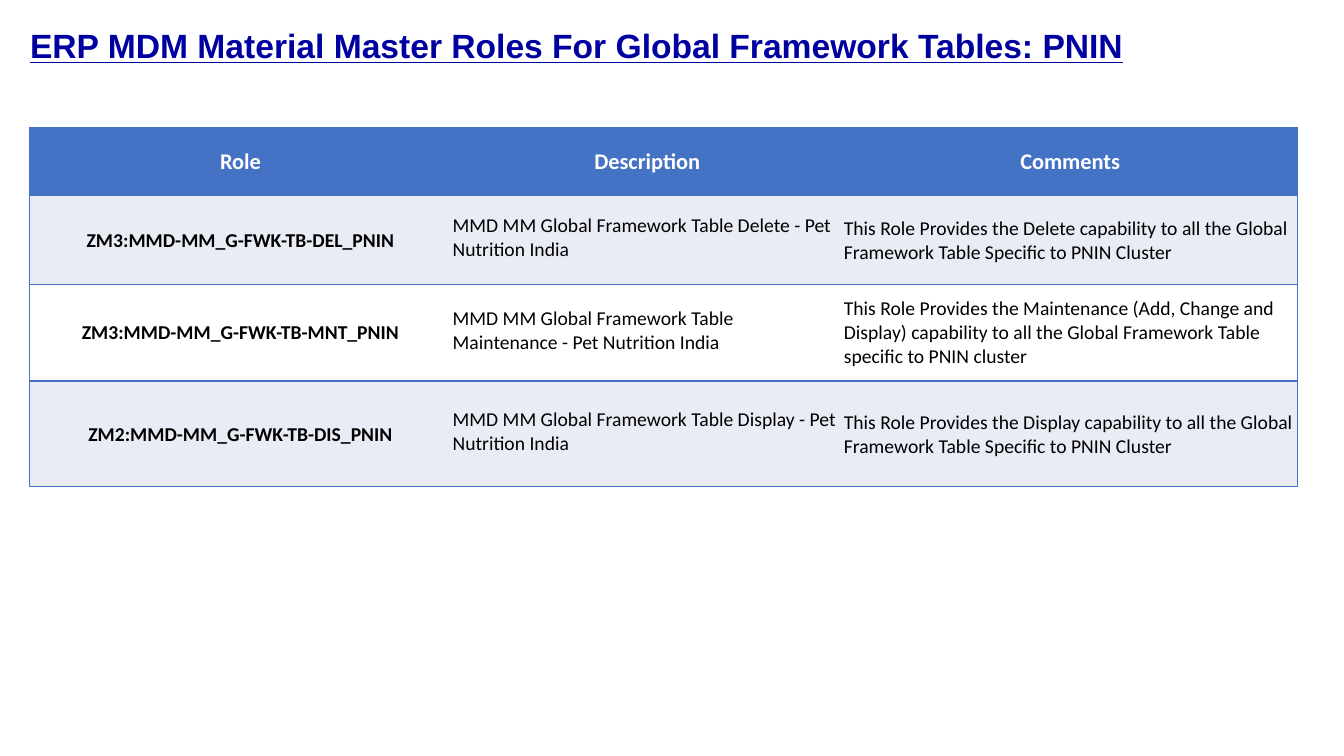
from dataclasses import dataclass

from lxml.etree import Element, SubElement
from pptx import Presentation
from pptx.dml.color import RGBColor
from pptx.enum.text import MSO_ANCHOR, PP_ALIGN
from pptx.oxml.ns import qn
from pptx.slide import Slide
from pptx.table import _Cell
from pptx.text.text import _Paragraph
from pptx.util import Emu, Pt

EMU_PER_PX = 9144
NAVY = RGBColor(0x00, 0x00, 0xA0)
BLUE = RGBColor(0x44, 0x72, 0xC4)
PALE = RGBColor(0xE9, 0xEB, 0xF5)
WHITE = RGBColor(0xFF, 0xFF, 0xFF)
BLACK = RGBColor(0x00, 0x00, 0x00)

COLUMN_WIDTHS = (419, 388, 451)
HEADINGS = ("Role", "Description", "Comments")


@dataclass(frozen=True)
class TextStyle:
    font: str
    size: int
    color: RGBColor
    bold: bool = False
    underline: bool = False
    align: PP_ALIGN = PP_ALIGN.LEFT


@dataclass(frozen=True)
class RoleRow:
    texts: tuple[str, str, str]
    height: int
    fill: RGBColor


TITLE_STYLE = TextStyle("Arial", 24, NAVY, bold=True, underline=True)
HEADING_STYLE = TextStyle("Calibri", 16, WHITE, bold=True, align=PP_ALIGN.CENTER)
ROLE_STYLE = TextStyle("Calibri", 14, BLACK, bold=True, align=PP_ALIGN.CENTER)
DETAIL_STYLE = TextStyle("Calibri", 14, BLACK)

ROWS = (
    RoleRow(HEADINGS, 67, BLUE),
    RoleRow((
        "ZM3:MMD-MM_G-FWK-TB-DEL_PNIN",
        "MMD MM Global Framework Table Delete - Pet Nutrition India",
        "This Role Provides the Delete capability to all the Global "
        "Framework Table Specific to PNIN Cluster",
    ), 88, PALE),
    RoleRow((
        "ZM3:MMD-MM_G-FWK-TB-MNT_PNIN",
        "MMD MM Global Framework Table Maintenance - Pet Nutrition India",
        "This Role Provides the Maintenance (Add, Change and Display) capability "
        "to all the Global Framework Table specific to PNIN cluster",
    ), 96, WHITE),
    RoleRow((
        "ZM2:MMD-MM_G-FWK-TB-DIS_PNIN",
        "MMD MM Global Framework Table Display - Pet Nutrition India",
        "This Role Provides the Display capability to all the Global "
        "Framework Table Specific to PNIN Cluster",
    ), 105, PALE),
)


def px(length: int) -> Emu:
    return Emu(length * EMU_PER_PX)


def style_paragraph(paragraph: _Paragraph, style: TextStyle) -> None:
    paragraph.alignment = style.align
    for run in paragraph.runs:
        run.font.name = style.font
        run.font.size = Pt(style.size)
        run.font.bold = style.bold
        run.font.underline = style.underline
        run.font.color.rgb = style.color


def draw_borders(cell: _Cell, visible_sides: str) -> None:
    properties = cell._tc.get_or_add_tcPr()
    for position, side in enumerate("LRTB"):
        border = Element(qn(f"a:ln{side}"), w=str(Pt(1)))
        if side in visible_sides:
            paint = SubElement(border, qn("a:solidFill"))
            SubElement(paint, qn("a:srgbClr"), val=str(BLUE))
        else:
            SubElement(border, qn("a:noFill"))
        properties.insert(position, border)


def add_title(slide: Slide) -> None:
    title = slide.shapes.add_textbox(px(20), px(17), px(1240), px(61))
    frame = title.text_frame
    frame.word_wrap = True
    frame.vertical_anchor = MSO_ANCHOR.MIDDLE
    frame.text = "ERP MDM Material Master Roles For Global Framework Tables: PNIN"
    frame.paragraphs[0].line_spacing = 0.9
    style_paragraph(frame.paragraphs[0], TITLE_STYLE)


def fill_cell(cell: _Cell, role_row: RoleRow, column: int) -> None:
    is_heading = role_row.texts == HEADINGS
    is_description = column == 1 and not is_heading
    cell.fill.solid()
    cell.fill.fore_color.rgb = role_row.fill
    cell.margin_left = cell.margin_right = cell.margin_top = px(1)
    cell.margin_bottom = px(5 if is_description else 0)
    cell.vertical_anchor = MSO_ANCHOR.MIDDLE
    cell.text_frame.text = role_row.texts[column]
    if is_heading:
        style = HEADING_STYLE
    else:
        style = ROLE_STYLE if column == 0 else DETAIL_STYLE
    style_paragraph(cell.text_frame.paragraphs[0], style)
    draw_borders(cell, ("LTB", "TB", "RTB")[column])


def add_role_table(slide: Slide) -> None:
    total_height = sum(role_row.height for role_row in ROWS)
    role_table = slide.shapes.add_table(
        len(ROWS), len(COLUMN_WIDTHS),
        px(29), px(127), px(sum(COLUMN_WIDTHS)), px(total_height),
    ).table
    for column, width in zip(role_table.columns, COLUMN_WIDTHS):
        column.width = px(width)
    for table_row, role_row in zip(role_table.rows, ROWS):
        table_row.height = px(role_row.height)
        for column, cell in enumerate(table_row.cells):
            fill_cell(cell, role_row, column)


def main() -> None:
    presentation = Presentation()
    presentation.slide_width = px(1333)
    presentation.slide_height = px(750)
    slide = presentation.slides.add_slide(presentation.slide_layouts[6])
    add_title(slide)
    add_role_table(slide)
    presentation.save("out.pptx")


if __name__ == "__main__":
    main()
